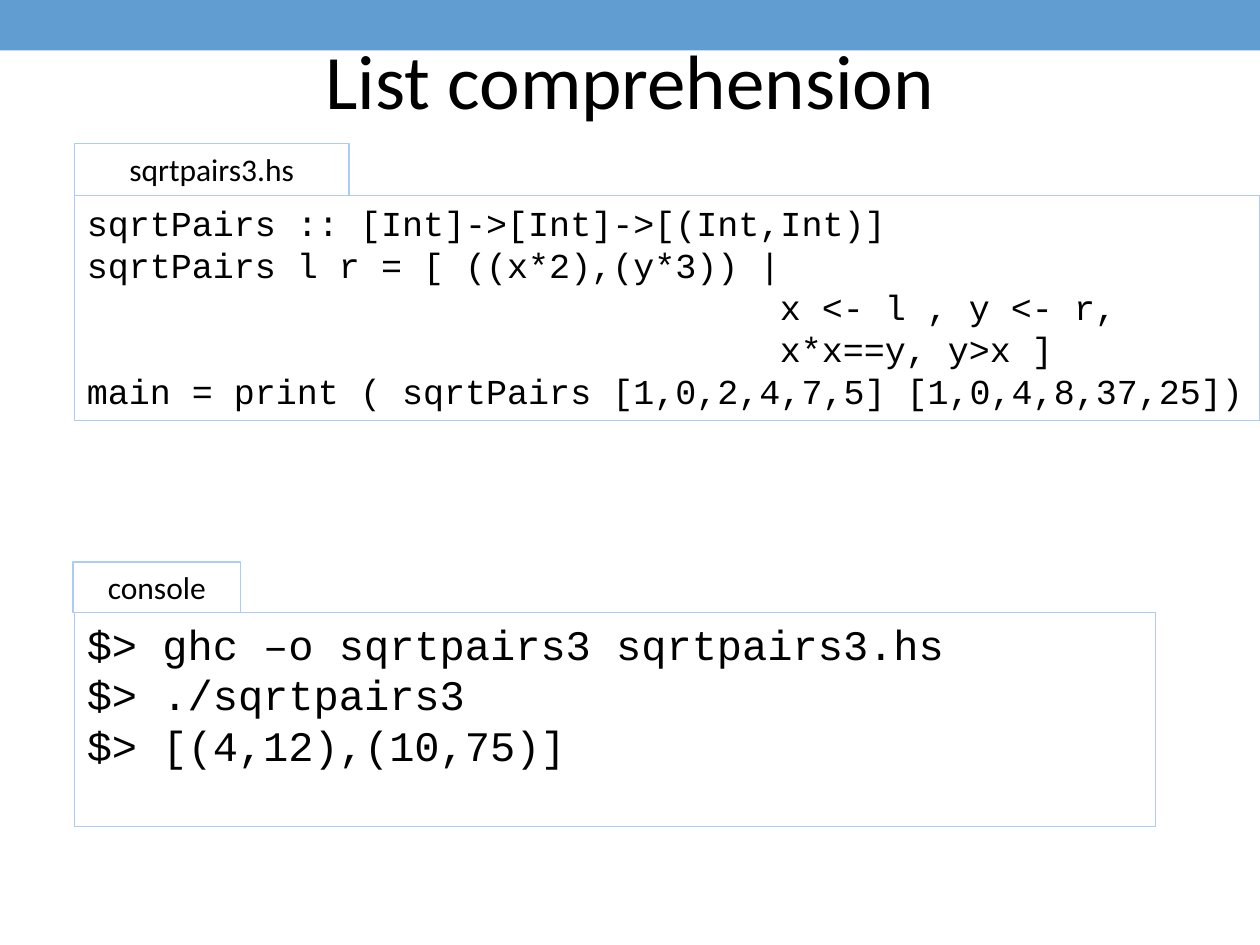
from pptx import Presentation
from pptx.dml.color import RGBColor
from pptx.enum import shapes, text
from pptx.util import Inches, Pt

BAND, BORDER, INK = "629DD1", "ACCBF9", "000000"
SANS, MONO = "Calibri", "Courier New"
TITLE = "List comprehension"
GUARD_INDENT = 5.5

CODE = [
    ("sqrtPairs :: [Int]->[Int]->[(Int,Int)]", 0),
    ("sqrtPairs l r = [ ((x*2),(y*3)) |", 0),
    ("x <- l , y <- r,", GUARD_INDENT),
    ("x*x==y, y>x ]", GUARD_INDENT),
    ("main = print ( sqrtPairs [1,0,2,4,7,5] [1,0,4,8,37,25])", 0),
]
CONSOLE = [
    ("$> ghc –o sqrtpairs3 sqrtpairs3.hs", 0),
    ("$> ./sqrtpairs3", 0),
    ("$> [(4,12),(10,75)]", 0),
]
PANELS = [
    {"label": "sqrtpairs3.hs", "tab": (0.59, 1.14, 2.18, 0.41),
     "lines": CODE, "body": (0.59, 1.55, 9.41, 1.79), "size": 20},
    {"label": "console", "tab": (0.58, 4.46, 1.33, 0.4),
     "lines": CONSOLE, "body": (0.59, 4.86, 8.58, 1.7), "size": 24},
]


def color(value):
    return RGBColor.from_string(value)


def write(shape, lines, size, font, align, anchor):
    frame = shape.text_frame
    frame.word_wrap = True
    frame.vertical_anchor = anchor
    for index, (line, indent) in enumerate(lines):
        paragraph = frame.add_paragraph() if index else frame.paragraphs[0]
        paragraph.alignment = align
        if indent:
            properties = paragraph._p.get_or_add_pPr()
            properties.set("marL", str(Inches(indent)))
            properties.set("indent", "0")
        run = paragraph.add_run()
        run.text = line
        run.font.size = Pt(size)
        run.font.name = font
        run.font.color.rgb = color(INK)


def add_box(slide, place, fill=None, line=None):
    shape = slide.shapes.add_shape(shapes.MSO_SHAPE.RECTANGLE, *map(Inches, place))
    shape.shadow.inherit = False
    if fill:
        shape.fill.solid()
        shape.fill.fore_color.rgb = color(fill)
    else:
        shape.fill.background()
    if line:
        shape.line.color.rgb = color(line)
        shape.line.width = Pt(0.75)
    else:
        shape.line.fill.background()
    return shape


def main():
    presentation = Presentation()
    presentation.slide_width = Inches(10)
    presentation.slide_height = Inches(7.5)
    slide = presentation.slides.add_slide(presentation.slide_layouts[6])
    left, center = text.PP_ALIGN.LEFT, text.PP_ALIGN.CENTER
    top, middle = text.MSO_ANCHOR.TOP, text.MSO_ANCHOR.MIDDLE

    add_box(slide, (0, 0, 10, 0.4), fill=BAND)
    title = slide.shapes.add_textbox(*map(Inches, (0.5, 0, 9, 1.25)))
    write(title, [(TITLE, 0)], 44, SANS, center, middle)

    for panel in PANELS:
        body = add_box(slide, panel["body"], line=BORDER)
        write(body, panel["lines"], panel["size"], MONO, left, top)
        tab = add_box(slide, panel["tab"], line=BORDER)
        write(tab, [(panel["label"], 0)], 18, SANS, center, top)

    presentation.save("out.pptx")


if __name__ == "__main__":
    main()
